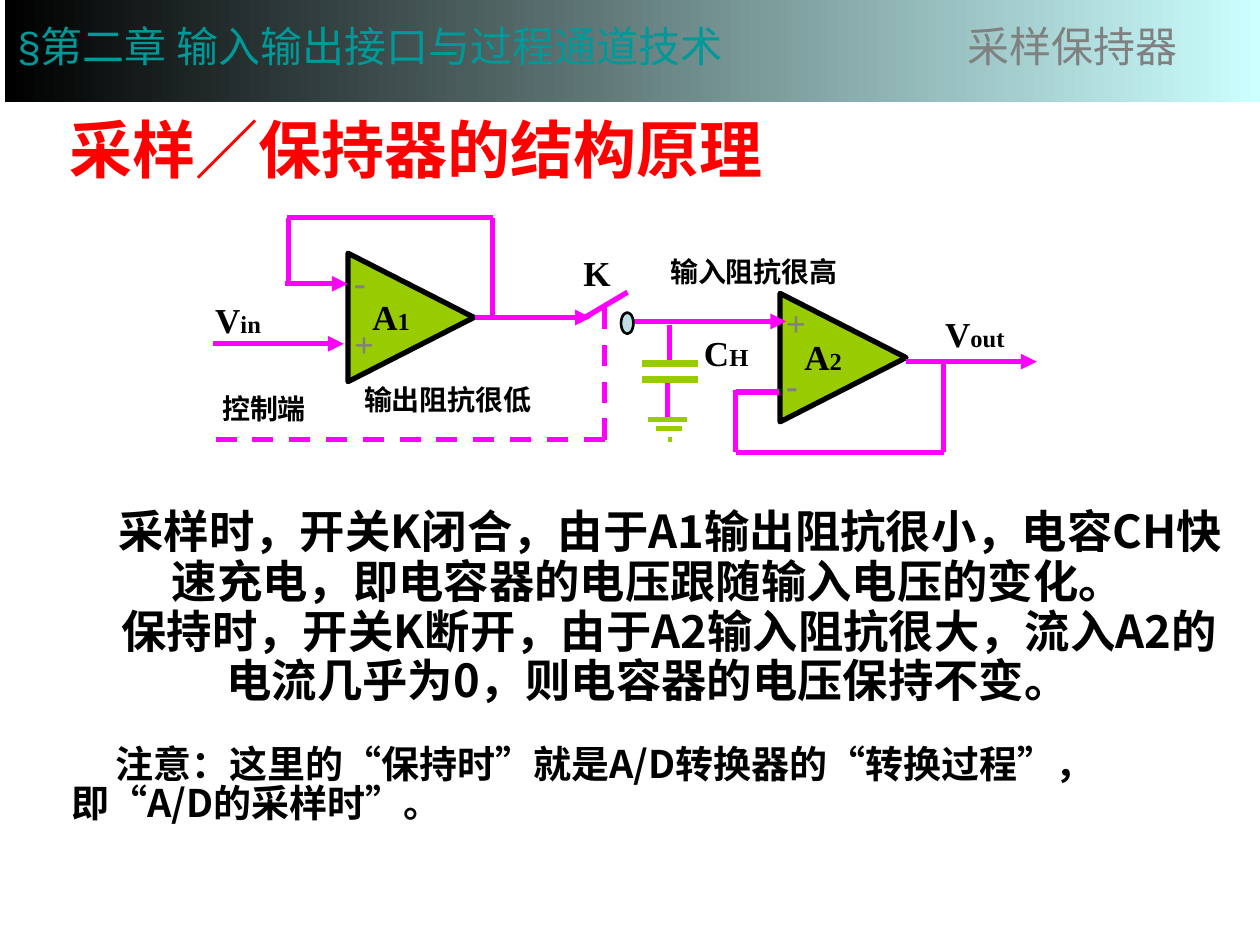
from pptx import Presentation
from pptx.dml.color import RGBColor
from pptx.enum.dml import MSO_LINE
from pptx.enum.shapes import MSO_CONNECTOR, MSO_SHAPE
from pptx.enum.text import MSO_ANCHOR, PP_ALIGN
from pptx.oxml.ns import qn
from pptx.util import Cm, Pt
from lxml.etree import SubElement

THEME = {
    "black": "000000", "wire": "FF00FF", "green": "99CC00", "gray": "808080",
    "teal": "009999", "sky": "CCFFFF", "pale": "BBE0E3", "red": "FF0000",
    "sans": "Arial", "han": "Noto Sans CJK SC", "serif": "Times New Roman",
    "title": 36, "head": 24, "body": 25.9, "note": 21.7,
    "sign": 20, "name": 20, "sub": 14, "label": 16,
}

HEAD = ("§第二章 输入输出接口与过程通道技术\t", "采样保持器")
TITLE = "采样／保持器的结构原理"
BODY = [
    ("采样时，开关K闭合，由于A1输出阻抗很小，电容CH快速充电，即电容器的电压跟随输入电压的变化。", 0.9),
    ("保持时，开关K断开，由于A2输入阻抗很大，流入A2的电流几乎为0，则电容器的电压保持不变。", 0.85),
]
NOTE = ["注意：这里的", "“", "保持时", "”", "就是A/D转换器的", "“", "转换过程", "”",
        "，即", "“", "A/D的采样时", "”", "。"]

AMPS = [("1", 6.99, 5.13, "-+"), ("2", 15.7, 5.94, "+-")]
NAMES = [
    (("V", "out"), 18.8, 6.17, 1.7),
    (("V", "in"), 3.8, 5.89, 2),
    (("K",), 11.51, 4.95, 1.04),
    (("C", "H"), 13.94, 6.55, 1.4),
]
LABELS = [
    ("输入阻抗很高", 13.26, 5, 4.65),
    ("输出阻抗很低", 7.09, 7.59, 4.04),
    ("控制端", 4.23, 7.77, 3.02),
]
ARROWS = [
    (9.58, 6.4, 11.91, 6.4), (12.57, 6.48, 15.85, 6.48),
    (18.26, 7.29, 20.9, 7.29), (5.74, 5.72, 7.01, 5.72),
    (4.29, 6.93, 6.93, 6.93),
]
WIRES = [
    (5.82, 5.72, 5.82, 4.39), (5.79, 4.39, 9.93, 4.39), (9.93, 6.4, 9.93, 4.39),
    (14.83, 9.12, 19.02, 9.12), (14.83, 9.12, 14.83, 7.87),
    (14.83, 7.9, 15.7, 7.9), (19.02, 9.12, 19.02, 7.29),
    (13.49, 6.55, 13.49, 7.26), (13.46, 7.72, 13.46, 8.43),
    (11.79, 6.4, 12.65, 5.89),
]
DASHES = [(12.19, 8.86, 4.09, 8.86), (12.19, 8.86, 12.19, 6.17)]
PLATES = [(12.95, 7.65, 14.07, 7.65), (12.95, 7.32, 14.07, 7.32)]
GROUND = [(13.06, 8.46, 13.84, 8.46), (13.23, 8.64, 13.74, 8.64),
          (13.46, 8.86, 13.54, 8.86)]

deck = Presentation()
deck.slide_width, deck.slide_height = Cm(25.4), Cm(19.05)
slide = deck.slides.add_slide(deck.slide_layouts[6])
shapes = slide.shapes


def tint(key):
    return RGBColor.from_string(THEME[key])


def style(run, size, face, hue="black", bold=True):
    font = run.font
    font.size, font.bold, font.name = Pt(THEME[size]), bold, THEME[face]
    font.color.rgb = tint(hue)
    SubElement(run._r.get_or_add_rPr(), qn("a:ea"), typeface=THEME["han"])


def write(para, parts):
    para.text = parts[0]
    for part in parts[1:]:
        para.add_run().text = part
    return para.runs


def make_box(x, y, w, h, wrap=True, pad=None, mid=False):
    frame = shapes.add_textbox(Cm(x), Cm(y), Cm(w), Cm(h)).text_frame
    frame.word_wrap = wrap
    if mid:
        frame.vertical_anchor = MSO_ANCHOR.MIDDLE
    if pad is not None:
        frame.margin_left = frame.margin_right = Cm(pad)
        frame.margin_top = frame.margin_bottom = Cm(pad)
    frame.paragraphs[0].alignment = PP_ALIGN.CENTER
    return frame


def add_name(parts, x, y, w):
    frame = make_box(x, y, w, 1.12, wrap=False)
    for run, size in zip(write(frame.paragraphs[0], parts), ("name", "sub")):
        style(run, size, "serif")


def add_text(text, x, y, w, h, size, face, hue="black", pad=None, mid=False):
    frame = make_box(x, y, w, h, pad=pad, mid=mid)
    frame.text = text
    style(frame.paragraphs[0].runs[0], size, face, hue)


def add_shape(kind, x, y, w, h, fill, edge):
    shape = shapes.add_shape(kind, Cm(x), Cm(y), Cm(w), Cm(h))
    shape.shadow.inherit = False
    shape.fill.solid()
    shape.fill.fore_color.rgb = tint(fill)
    if edge:
        shape.line.color.rgb = tint("black")
        shape.line.width = Pt(edge)
    else:
        shape.line.fill.background()
    return shape


def draw(lines, hue="wire", width=3, dash=False, tip=False):
    for x, y, right, low in lines:
        wire = shapes.add_connector(MSO_CONNECTOR.STRAIGHT, Cm(x), Cm(y), Cm(right), Cm(low))
        wire.line.color.rgb = tint(hue)
        wire.line.width = Pt(width)
        if dash:
            wire.line.dash_style = MSO_LINE.DASH
        props = wire._element.spPr
        if tip:
            SubElement(props.get_or_add_ln(), qn("a:tailEnd"), type="triangle")
        SubElement(props, qn("a:effectLst"))


add_text(TITLE, 1.41, 2.06, 14.63, 1.88, "title", "sans", "red", pad=0, mid=True)

frame = make_box(1.19, 9.6, 23.75, 5.33, mid=True)
frame.text = "\n".join(text for text, dent in BODY)
for para, (text, dent) in zip(frame.paragraphs, BODY):
    para.alignment, para.line_spacing = PP_ALIGN.CENTER, 0.91
    para._p.get_or_add_pPr().set("indent", str(Cm(dent)))
    style(para.runs[0], "body", "han")

for num, x, y, signs in AMPS:
    body = add_shape(MSO_SHAPE.ISOSCELES_TRIANGLE, x, y, 2.59, 2.54, "green", 3)
    body.rotation = 90
    for row, sign in enumerate(signs):
        add_text(sign, x + 0.15, y + 0.13 + 1.25 * row, 0.99, 0.84, "sign", "serif", "gray", pad=0)

draw(WIRES)
draw(ARROWS, tip=True)
draw(DASHES, dash=True)
draw(PLATES, "green", 4)
draw(GROUND, "green")
add_shape(MSO_SHAPE.OVAL, 12.52, 6.3, 0.25, 0.43, "pale", 1.5)

for num, x, y, signs in AMPS:
    add_name(("A", num), x + 0.26, y + 0.7, 1.27)
for name in NAMES:
    add_name(*name)
for text, x, y, w in LABELS:
    add_text(text, x, y, w, 0.94, "label", "serif")

para = make_box(1.19, 14.55, 23.75, 2.59, mid=True).paragraphs[0]
para.alignment, para.line_spacing = PP_ALIGN.LEFT, 0.87
para._p.get_or_add_pPr().set("indent", str(Cm(0.88)))
for run in write(para, NOTE):
    style(run, "note", "sans" if run.text in "“”" else "han")

band = add_shape(MSO_SHAPE.RECTANGLE, 0.1, -0.23, 25.3, 2.29, "black", 0)
band.fill.gradient()
band.fill.gradient_angle = 0
for stop, hue, spot in zip(band.fill.gradient_stops, ("black", "sky"), (0, 1)):
    stop.color.rgb, stop.position = tint(hue), spot
band.text_frame.vertical_anchor = MSO_ANCHOR.MIDDLE
para = band.text_frame.paragraphs[0]
para.alignment = PP_ALIGN.LEFT
tabs = SubElement(para._p.get_or_add_pPr(), qn("a:tabLst"))
SubElement(tabs, qn("a:tab"), pos=str(Cm(19.16)), algn="l")
for run, hue in zip(write(para, HEAD), ("teal", "gray")):
    style(run, "head", "sans", hue, bold=False)

deck.save("out.pptx")
